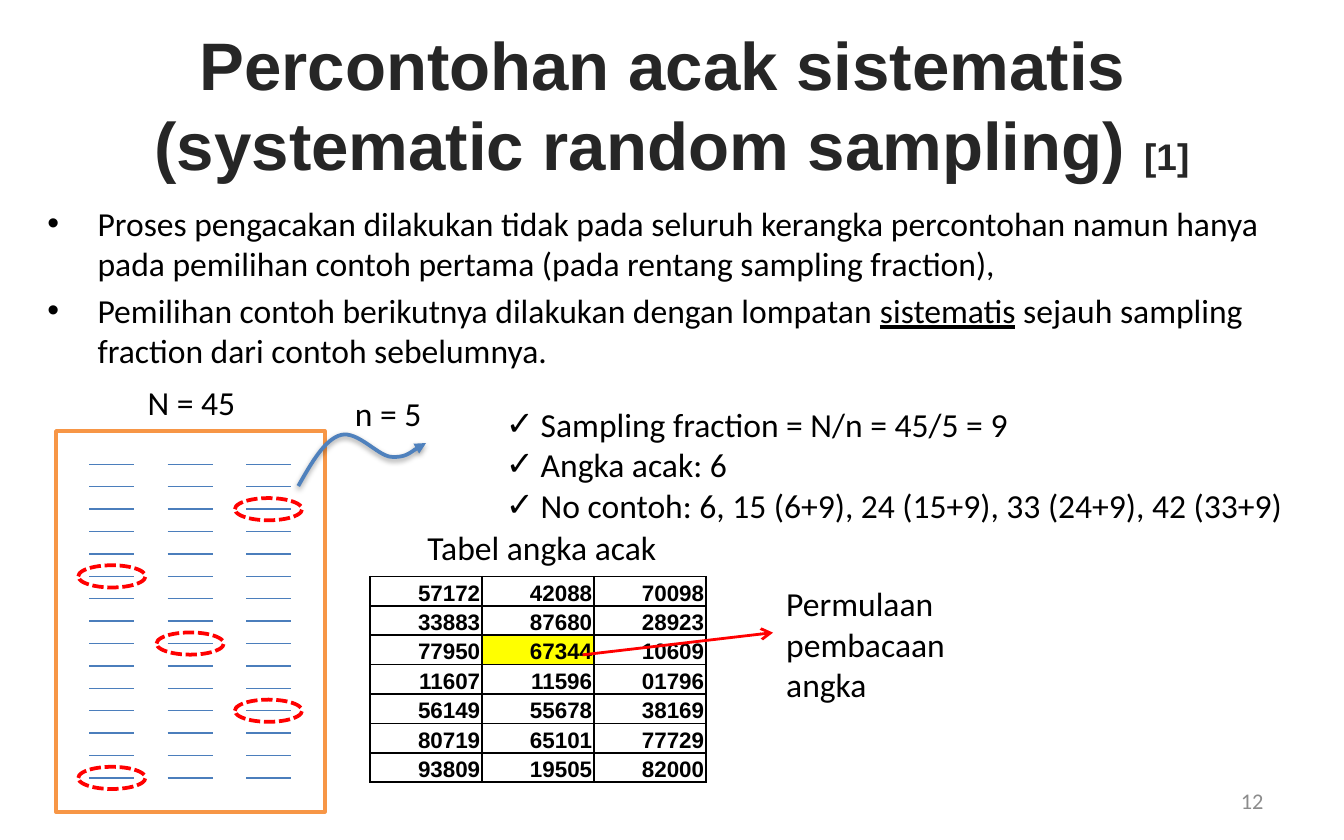
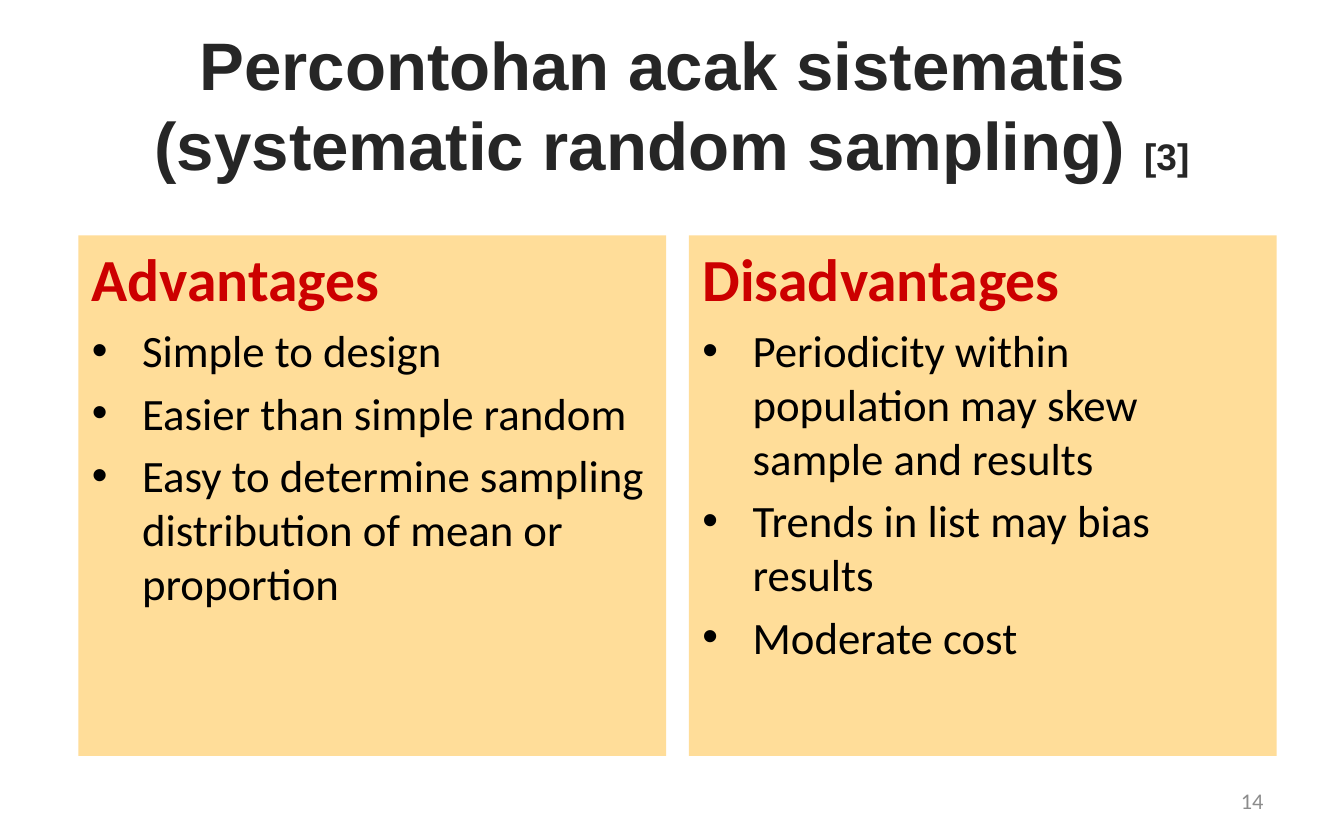
"""Build two slides on systematic random sampling."""
from copy import deepcopy

from lxml import etree
from pptx import Presentation
from pptx import util as u
from pptx.dml.color import RGBColor
from pptx.enum import dml, shapes, text
from pptx.oxml import parse_xml
from pptx.oxml.ns import nsdecls, qn

BLACK, WHITE, RED, ORANGE, YELLOW = "000000", "FFFFFF", "FF0000", "F79646", "FFFF00"
BLUE, LINE_BLUE, DARK, GREY = "4F81BD", "4B7EBC", "262626", "8C8C8C"
PANEL, HEADING = "FFDD99", "CC0000"


def rgb(value):
    return RGBColor.from_string(value)


def box(*lengths):
    return [u.Cm(v) for v in lengths]


class Deck:
    def __init__(self):
        self.prs = Presentation()
        self.prs.slide_width, self.prs.slide_height = box(25.4, 15.88)
        self.s = None

    def slide(self, layout, tag, number):
        self.s = self.prs.slides.add_slide(self.prs.slide_layouts[layout])
        self.title(tag)
        tf = self.text(str(number), 18.2, 14.71, 5.93, 0.85, 12, GREY, wrap=True)
        tf.auto_size = text.MSO_AUTO_SIZE.NONE
        tf.vertical_anchor = text.MSO_ANCHOR.MIDDLE
        tf.paragraphs[0].alignment = text.PP_ALIGN.RIGHT

    def place(self, sp, at):
        sp.left, sp.top, sp.width, sp.height = box(*at)
        sp.text_frame.auto_size = text.MSO_AUTO_SIZE.NONE
        return sp.text_frame

    def font(self, runs, size, color=BLACK, bold=False, name="Calibri"):
        for r in runs:
            r.font.size, r.font.bold, r.font.name = u.Pt(size), bold, name
            r.font.color.rgb = rgb(color)

    def title(self, tag):
        tf = self.place(self.s.shapes.title, (1.27, 0.64, 22.86, 2.64))
        tf.vertical_anchor = text.MSO_ANCHOR.MIDDLE
        p = tf.paragraphs[0]
        p.text = "Percontohan acak sistematis \v(systematic random sampling) "
        p.alignment = text.PP_ALIGN.CENTER
        self.font(p.runs, 36, DARK, True, "Arial")
        p._p.find(qn("a:br")).insert(0, deepcopy(p.runs[0]._r.rPr))
        r = p.add_run()
        r.text = tag
        self.font([r], 19.8, DARK, True, "Arial")

    def bullet(self, p, char, indent):
        pPr = p._p.get_or_add_pPr()
        pPr.set("marL", str(u.Cm(indent)))
        pPr.set("indent", str(-u.Cm(indent)))
        if char:
            etree.SubElement(pPr, qn("a:buFont")).set("typeface", "Arial")
            etree.SubElement(pPr, qn("a:buChar")).set("char", char)
        else:
            etree.SubElement(pPr, qn("a:buNone"))

    def list(self, idx, at, items, size, heading=None, fill=None):
        sp = self.s.placeholders[idx]
        tf = self.place(sp, at)
        if fill:
            sp.fill.solid()
            sp.fill.fore_color.rgb = rgb(fill)
        lines = ([heading] if heading else []) + items
        for i, line in enumerate(lines):
            p = tf.paragraphs[0] if i == 0 else tf.add_paragraph()
            is_heading = line == heading
            self.bullet(p, None if is_heading else "•", 0.95)
            p.space_before = u.Pt(0.2 * size if i else 0)
            for n, piece in enumerate(line.split("_")):
                r = p.add_run()
                r.text = piece
                if n % 2:
                    r.font.underline = True
            if is_heading:
                self.font(p.runs, 32, HEADING, True)
            else:
                self.font(p.runs, size)

    def text(self, words, x, y, w, h, size=18, color=BLACK, wrap=False, bullet=None):
        tf = self.s.shapes.add_textbox(*box(x, y, w, h)).text_frame
        tf.text = words
        tf.word_wrap = wrap
        tf.auto_size = text.MSO_AUTO_SIZE.SHAPE_TO_FIT_TEXT
        for p in tf.paragraphs:
            if bullet:
                self.bullet(p, bullet, 0.66)
            self.font(p.runs, size, color)
        return tf

    def stroke(self, sp, color, width):
        sp.line.color.rgb = rgb(color)
        sp.line.width = u.Pt(width)

    def head(self, sp, kind):
        etree.SubElement(sp.line._get_or_add_ln(), qn("a:tailEnd")).set("type", kind)

    def shape(self, kind, at, color, fill=None, dash=None):
        sp = self.s.shapes.add_shape(kind, *box(*at))
        sp.shadow.inherit = False
        self.stroke(sp, color, 2)
        if fill:
            sp.fill.solid()
            sp.fill.fore_color.rgb = rgb(fill)
        else:
            sp.fill.background()
        if dash:
            sp.line.dash_style = dash

    def line(self, ends, color, width, head=None):
        c = self.s.shapes.add_connector(shapes.MSO_CONNECTOR.STRAIGHT, *box(*ends))
        self.stroke(c, color, width)
        if head:
            self.head(c, head)
        etree.SubElement(c._element.spPr, qn("a:effectLst"))

    def curve(self, x, y, points, rotation):
        start, *rest = [box(*pt) for pt in points]
        fb = self.s.shapes.build_freeform(*start)
        fb.add_line_segments(rest, close=False)
        sp = fb.convert_to_shape(*box(x, y))
        segments = list(sp._element.iter(qn("a:lnTo")))
        for i in range(0, len(segments), 3):
            bezier = etree.Element(qn("a:cubicBezTo"))
            segments[i].addprevious(bezier)
            for seg in segments[i:i + 3]:
                bezier.append(seg[0])
                seg.getparent().remove(seg)
        sp.rotation = rotation
        sp.fill.background()
        self.stroke(sp, BLUE, 2)
        self.head(sp, "triangle")
        sp.shadow.inherit = False
        sp._element.spPr.find(qn("a:effectLst")).append(parse_xml(
            f'<a:outerShdw {nsdecls("a")} blurRad="40000" dist="20000" dir="5400000" '
            'rotWithShape="0"><a:srgbClr val="000000"><a:alpha val="38000"/>'
            '</a:srgbClr></a:outerShdw>'))

    def table(self, at, rows, marked):
        tb = self.s.shapes.add_table(len(rows), len(rows[0]), *box(*at)).table
        tb.first_row = tb.horz_banding = False
        for i, row in enumerate(rows):
            for j, value in enumerate(row):
                self.cell(tb.cell(i, j), value, value == marked)

    def cell(self, cell, value, marked):
        cell.text = value
        cell.margin_left = cell.margin_right = cell.margin_top = u.Cm(0.03)
        cell.margin_bottom = 0
        cell.vertical_anchor = text.MSO_ANCHOR.BOTTOM
        p = cell.text_frame.paragraphs[0]
        p.alignment = text.PP_ALIGN.RIGHT
        self.font(p.runs, 12, BLACK, True, "Arial")
        if marked:
            cell.fill.solid()
            cell.fill.fore_color.rgb = rgb(YELLOW)
        else:
            cell.fill.background()
        for i, side in enumerate("LRTB"):
            cell._tc.tcPr.insert(i, parse_xml(
                f'<a:ln{side} {nsdecls("a")} w="12700"><a:solidFill>'
                f'<a:srgbClr val="{BLACK}"/></a:solidFill></a:ln{side}>'))


def sampling_frame(d):
    per_column, columns, step, first = 15, 3, 9, 6
    length, height = 0.85, 0.42

    def unit(number):
        column, row = divmod(number - 1, per_column)
        return 1.69 + 1.48 * column, 8.78 + 2.54 / 6 * row

    population = per_column * columns
    d.shape(shapes.MSO_SHAPE.RECTANGLE, (1.06, 8.15, 5.08, 7.2), ORANGE, WHITE)
    for number in range(1, population + 1):
        x, y = unit(number)
        d.line((x, y, x + length, y), LINE_BLUE, 0.75)
    for number in range(first, population + 1, step):
        x, y = unit(number)
        d.shape(shapes.MSO_SHAPE.OVAL, (x - 0.21, y - height / 2, 1.27, height), RED,
                dash=dml.MSO_LINE.SQUARE_DOT)


def method_slide(d):
    d.slide(1, "[1]", 12)
    d.list(1, (0.64, 3.7, 24.13, 4.02), [
        "Proses pengacakan dilakukan tidak pada seluruh kerangka percontohan namun hanya "
        "pada pemilihan contoh pertama (pada rentang sampling fraction),",
        "Pemilihan contoh berikutnya dilakukan dengan lompatan _sistematis_ sejauh "
        "sampling fraction dari contoh sebelumnya."], 18)
    sampling_frame(d)
    d.table((6.99, 10.9, 6.35, 3.89), [
        ("57172", "42088", "70098"),
        ("33883", "87680", "28923"),
        ("77950", "67344", "10609"),
        ("11607", "11596", "01796"),
        ("56149", "55678", "38169"),
        ("80719", "65101", "77729"),
        ("93809", "19505", "82000")], marked="67344")
    d.text("N = 45", 2.54, 7.09, 2.18, 1.02)
    d.curve(5.51, 8.15, [
        (0, 0.74), (0.36, 0.36), (0.71, 0), (1.02, 0), (1.34, 0), (1.59, 0.54),
        (1.83, 0.63), (2.1, 0.72), (2.4, 0.56), (2.54, 0.54)], 345.9)
    d.text("Sampling fraction = N/n = 45/5 = 9\nAngka acak: 6\n"
           "No contoh: 6, 15 (6+9), 24 (15+9), 33 (24+9), 42 (33+9)",
           9.31, 7.51, 15.4, 2.56, bullet="✓")
    d.text("n = 5", 6.46, 7.3, 1.8, 1.02)
    d.text("Tabel angka acak", 7.83, 9.84, 4.87, 1.02)
    d.line((11.01, 12.38, 14.61, 11.96), RED, 1.5, "arrow")
    d.text("Permulaan pembacaan angka", 14.61, 10.9, 4.02, 2.56, wrap=True)


def comparison_slide(d):
    d.slide(3, "[3]", 14)
    panels = [
        ("Advantages", ["Simple to design", "Easier than simple random",
                        "Easy to determine sampling distribution of mean or proportion"]),
        ("Disadvantages", ["Periodicity within population may skew sample and results",
                           "Trends in list may bias results", "Moderate cost"])]
    for i, (heading, items) in enumerate(panels):
        d.list(i + 1, (1.48 + 11.54 * i, 4.45, 11.11, 9.84), items, 24, heading, PANEL)


def main():
    d = Deck()
    method_slide(d)
    comparison_slide(d)
    d.prs.save("out.pptx")


if __name__ == "__main__":
    main()
